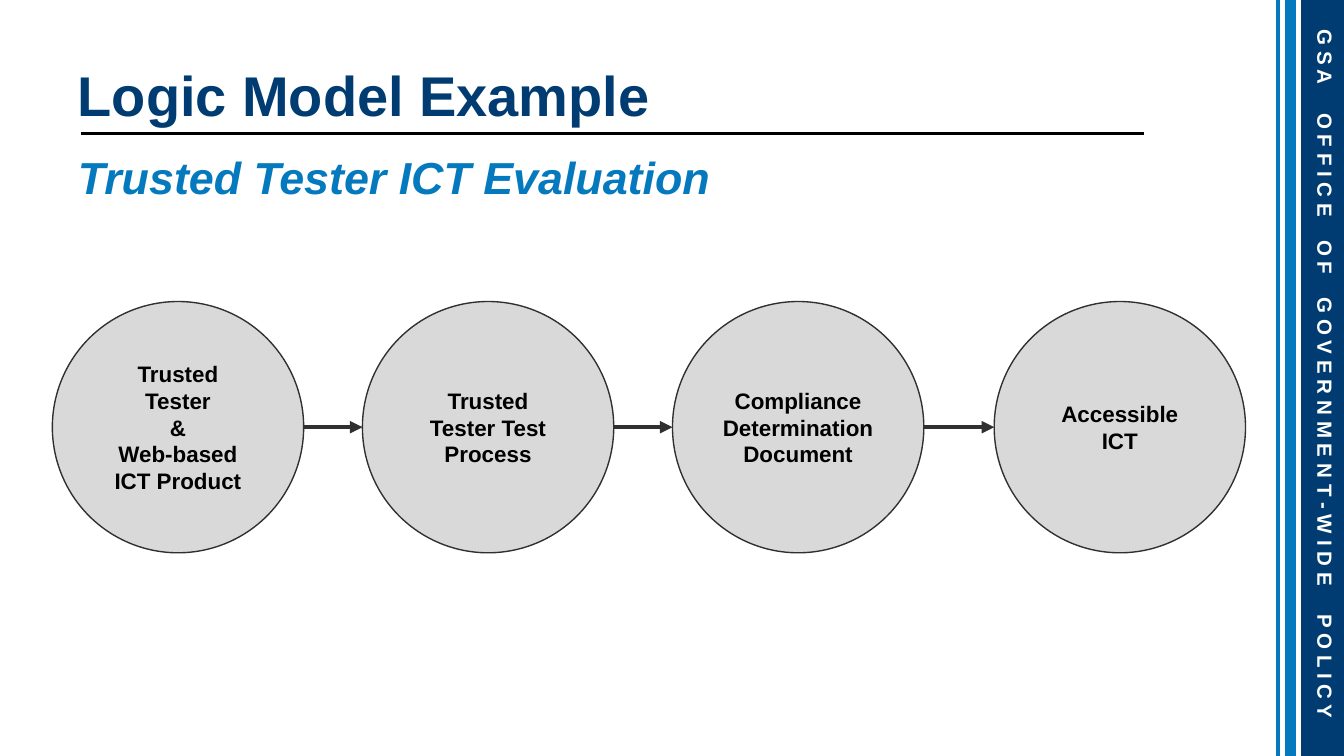
from dataclasses import dataclass
from lxml import etree
from pptx import Presentation
from pptx.dml.color import RGBColor
from pptx.enum.shapes import MSO_CONNECTOR as CONNECTOR, MSO_SHAPE as SHAPE
from pptx.enum.text import MSO_ANCHOR as ANCHOR, MSO_AUTO_SIZE as AUTO, PP_ALIGN as ALIGN
from pptx.oxml.ns import qn
from pptx.util import Cm, Pt


@dataclass(frozen=True)
class Theme:
    font: str = "Arial"
    navy: str = "003C71"
    blue: str = "0579BD"
    grey: str = "D9D9D9"
    dark: str = "303030"
    black: str = "000000"
    white: str = "FFFFFF"
    title_size: int = 30
    subtitle_size: int = 24
    circle_size: int = 12
    banner_size: int = 11


theme = Theme()


def write(frame, lines, size, color, align, anchor, italic=False):
    """Fill a text frame; each line is a list of runs."""
    frame_format = {"word_wrap": True, "auto_size": AUTO.NONE, "vertical_anchor": anchor}
    frame_format |= {f"margin_{side}": Cm(0.25) for side in ("left", "right", "top", "bottom")}
    for name, value in frame_format.items():
        setattr(frame, name, value)
    for number, runs in enumerate(lines):
        line = frame.add_paragraph() if number else frame.paragraphs[0]
        line.alignment = align
        line.space_before = Pt(0)
        for words in runs:
            run = line.add_run()
            run.text = words
            font_format = {"name": theme.font, "size": Pt(size), "bold": True, "italic": italic}
            for name, value in font_format.items():
                setattr(run.font, name, value)
            run.font.color.rgb = RGBColor.from_string(color)


def draw_line(x1, y1, x2, y2, color, width, arrow=False):
    """Draw a straight line between two points given in centimetres."""
    line = slide.shapes.add_connector(CONNECTOR.STRAIGHT, Cm(x1), Cm(y1), Cm(x2), Cm(y2))
    line.line.color.rgb = RGBColor.from_string(color)
    line.line.width = Pt(width)
    if arrow:
        etree.SubElement(line.line._get_or_add_ln(), qn("a:tailEnd"), type="triangle")
    etree.SubElement(line._element.spPr, qn("a:effectLst"))


deck = Presentation()
deck.slide_width, deck.slide_height = Cm(25.4), Cm(14.29)
slide = deck.slides.add_slide(deck.slide_layouts[0])

# Side band with its two stripes
band = slide.shapes.add_shape(SHAPE.RECTANGLE, Cm(24.6), Cm(-0.03), Cm(0.86), Cm(14.35))
band.shadow.inherit = False
band.fill.solid()
band.fill.fore_color.rgb = band.line.color.rgb = RGBColor.from_string(theme.navy)
band.line.width = Pt(0.75)
for x, width in ((24.39, 6), (24.16, 2.25)):
    draw_line(x, 0, x, 14.29, theme.blue, width)

# Office name in single letters, reading down the band; word gaps are widened spaces
office = slide.shapes.add_textbox(Cm(17.91), Cm(6.27), Cm(14.28), Cm(1.6))
office.rotation = 90
office_runs = ["G S A", " ", "O F F I C E", " ", "O F", " ",
               "G O V E R N M E N T - W I D E", " ", "P O L I C Y"]
write(office.text_frame, [office_runs], theme.banner_size, theme.white, ALIGN.CENTER, ANCHOR.MIDDLE)
word_gaps = office.text_frame.paragraphs[0].runs[1::2]
for gap, points in zip(word_gaps, (12.2, 9.2, 9.2, 12.2)):
    gap.font._element.set("spc", str(round(points * 100)))

# Title, rule and subtitle
draw_line(1.54, 2.52, 21.62, 2.52, theme.black, 1.5)
title, subtitle = slide.shapes.title, slide.placeholders[1]
for heading, top, height in ((title, 0.23, 2.44), (subtitle, 2.42, 1.09)):
    heading.left, heading.top = Cm(1.22), Cm(top)
    heading.width, heading.height = Cm(22.33), Cm(height)
write(title.text_frame, [["Logic Model Example"]], theme.title_size, theme.navy,
      ALIGN.LEFT, ANCHOR.BOTTOM)
write(subtitle.text_frame, [["Trusted Tester ICT Evaluation"]], theme.subtitle_size, theme.blue,
      ALIGN.LEFT, ANCHOR.TOP, italic=True)
subtitle.text_frame.paragraphs[0].line_spacing = 1.15
subtitle.text_frame.paragraphs[0].space_after = Pt(16)

# Logic model: four circles
diameter, circle_top = 4.75, 5.7
stages = [
    (0.99, ["Trusted Tester", "&", "Web-based", "ICT Product"]),
    (6.85, ["Trusted Tester Test Process"]),
    (12.71, ["Compliance Determination Document"]),
    (18.79, ["Accessible ICT"]),
]
for left, lines in stages:
    stage = slide.shapes.add_shape(SHAPE.OVAL, Cm(left), Cm(circle_top), Cm(diameter), Cm(diameter))
    stage.shadow.inherit = False
    stage.fill.solid()
    stage.fill.fore_color.rgb = RGBColor.from_string(theme.grey)
    stage.line.color.rgb = RGBColor.from_string(theme.dark)
    stage.line.width = Pt(0.75)
    write(stage.text_frame, [[words] for words in lines], theme.circle_size, theme.black,
          ALIGN.CENTER, ANCHOR.MIDDLE)

# Arrows from each circle to the next
middle = circle_top + diameter / 2
for (left, _), (next_left, _) in zip(stages, stages[1:]):
    draw_line(left + diameter, middle, next_left, middle, theme.dark, 2.25, arrow=True)

deck.save("out.pptx")
